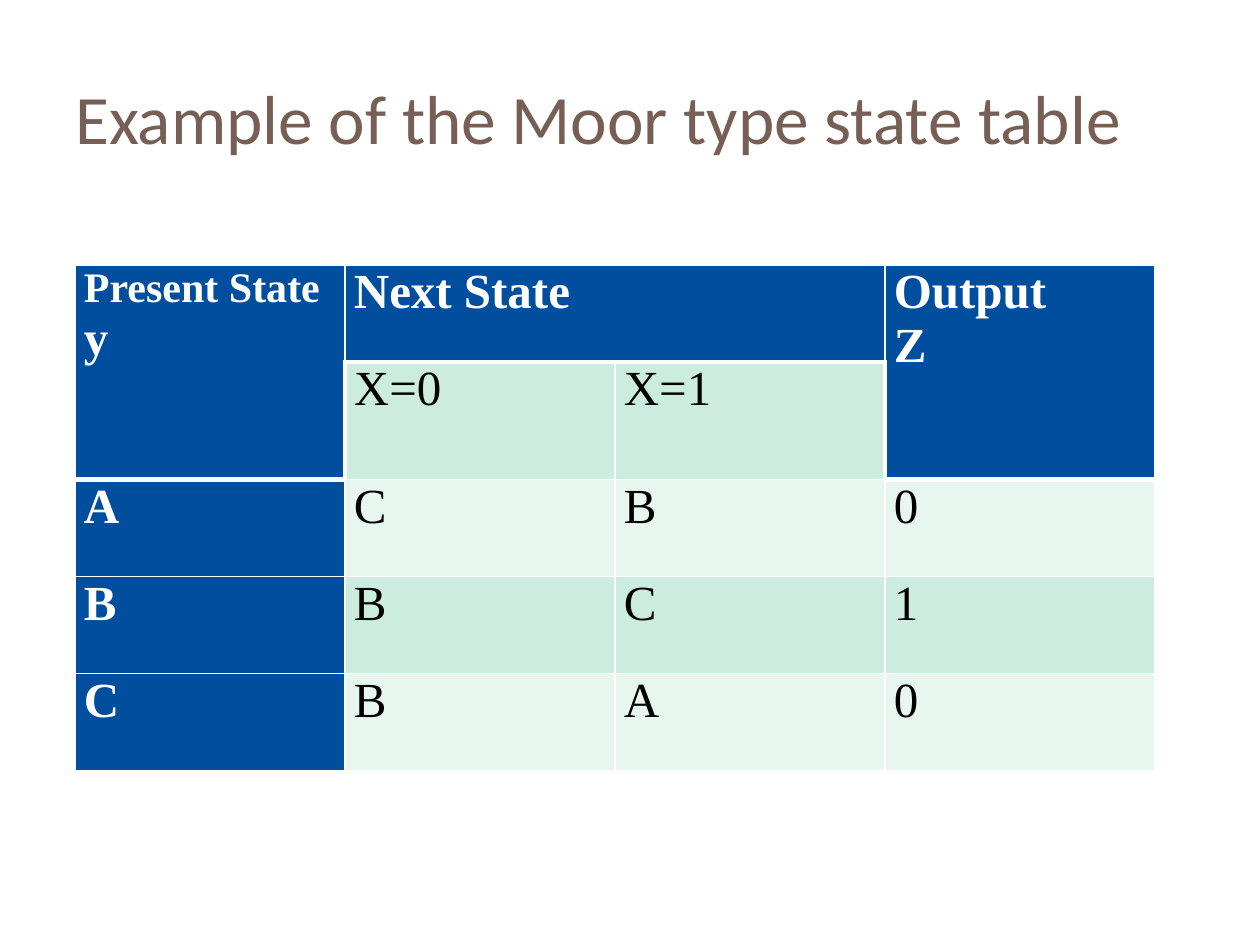
from dataclasses import dataclass

from lxml.etree import SubElement
from pptx import Presentation
from pptx.dml.color import RGBColor
from pptx.enum.text import MSO_ANCHOR, PP_ALIGN
from pptx.oxml.ns import qn
from pptx.table import Table, _Cell
from pptx.text.text import _Paragraph
from pptx.util import Emu, Pt

SCALE = 914400 / 126
WHITE, BLACK, BLUE, BROWN = "FFFFFF", "000000", "004E9D", "775F55"
MINT, PALE = "CBECDE", "E7F6EF"
SERIF, SANS = "Times New Roman", "Calibri"
COLS, ROWS = 4, 5
SIDES = {"lnL": (0, -1), "lnR": (0, 1), "lnT": (-1, 0), "lnB": (1, 0)}


@dataclass
class Line:
    text: str
    size: float = 28


@dataclass
class Entry:
    row: int
    col: int
    lines: list[Line]


def px(n: int) -> Emu:
    return Emu(round(n * SCALE))


def color(code: str) -> RGBColor:
    return RGBColor.from_string(code)


def add_run(para: _Paragraph, line: Line, face: str, ink: str, bold: bool = False) -> None:
    run = para.add_run()
    run.text = line.text
    font = run.font
    font.name, font.size, font.bold = face, Pt(line.size), bold
    font.color.rgb = color(ink)


def is_head(row: int, col: int) -> bool:
    return row <= 0 or (row == 1 and col in (0, COLS - 1))


def is_thick(row: int, col: int, down: int, right: int) -> bool:
    """The edge between the header and the body is thick."""
    r, c = row + down, col + right
    return 0 <= c < COLS and is_head(row, col) != is_head(r, c)


def add_edges(cell: _Cell, row: int, col: int) -> None:
    props = cell._tc.get_or_add_tcPr()
    for tag, (down, right) in SIDES.items():
        last = row + cell.span_height - 1 if down > 0 else row
        width = 3 if is_thick(last, col, down, right) else 1
        edge = SubElement(props, qn(f"a:{tag}"), w=str(Pt(width)))
        fill = SubElement(edge, qn("a:solidFill"))
        SubElement(fill, qn("a:srgbClr"), val=WHITE)


def style(table: Table, row: int, col: int) -> None:
    cell = table.cell(row, col)
    cell.margin_left = cell.margin_right = px(9)
    cell.margin_top = cell.margin_bottom = 0
    add_edges(cell, row, col)
    dark = is_head(row, col) or col == 0
    cell.fill.solid()
    cell.fill.fore_color.rgb = color(BLUE if dark else MINT if row % 2 else PALE)


def write(table: Table, entry: Entry) -> None:
    dark = is_head(entry.row, entry.col) or entry.col == 0
    frame = table.cell(entry.row, entry.col).text_frame
    for i, line in enumerate(entry.lines):
        para = frame.add_paragraph() if i else frame.paragraphs[0]
        para.alignment = PP_ALIGN.JUSTIFY
        add_run(para, line, SERIF, WHITE if dark else BLACK, dark)


def main() -> None:
    deck = Presentation()
    deck.slide_width, deck.slide_height = px(1260), px(945)
    slide = deck.slides.add_slide(deck.slide_layouts[6])

    # Title
    box = slide.shapes.add_textbox(px(63), px(38), px(1134), px(158))
    frame = box.text_frame
    frame.word_wrap = True
    frame.vertical_anchor = MSO_ANCHOR.MIDDLE
    title = Line("Example of the Moor type state table", 39.6)
    add_run(frame.paragraphs[0], title, SANS, BROWN)

    # Table grid
    grid = slide.shapes.add_table(ROWS, COLS, px(75), px(265), px(270 * COLS), px(97 * ROWS))
    table = grid.table
    table.first_row = table.horz_banding = False
    for col in table.columns:
        col.width = px(270)
    for row in table.rows:
        row.height = px(97)
    for start, end in (((0, 0), (1, 0)), ((0, 1), (0, 2)), ((0, 3), (1, 3))):
        table.cell(*start).merge(table.cell(*end))
    for r in range(ROWS):
        for c in range(COLS):
            style(table, r, c)

    # Header and state rows
    entries = [
        Entry(0, 0, [Line("Present State", 24), Line("y")]),
        Entry(0, 1, [Line("Next State")]),
        Entry(0, 3, [Line("Output"), Line("Z")]),
        Entry(1, 1, [Line("X=0")]),
        Entry(1, 2, [Line("X=1")]),
    ]
    for r, states in enumerate(("ACB0", "BBC1", "CBA0"), 2):
        entries += [Entry(r, c, [Line(text)]) for c, text in enumerate(states)]
    for entry in entries:
        write(table, entry)

    deck.save("out.pptx")


if __name__ == "__main__":
    main()
